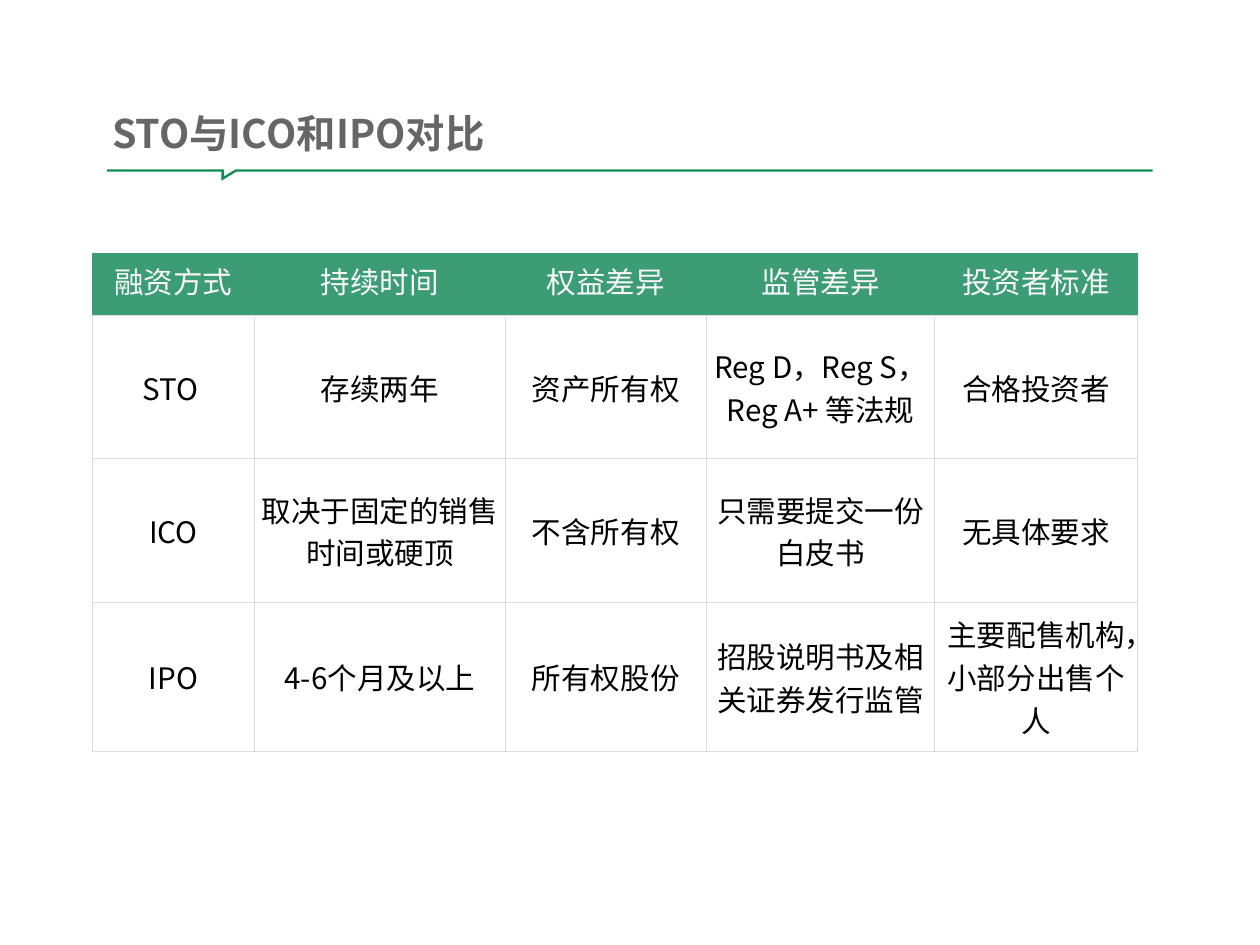
from lxml import etree
from pptx import Presentation
from pptx.dml.color import RGBColor
from pptx.enum.lang import MSO_LANGUAGE_ID as LANG
from pptx.enum.text import MSO_ANCHOR as ANCHOR, PP_ALIGN as ALIGN
from pptx.oxml.ns import qn
from pptx.util import Pt

FONT = "Noto Sans CJK SC"
TITLE = "STO与ICO和IPO对比"
ROWS = [
    ["融资方式", "持续时间", "权益差异", "监管差异", "投资者标准"],
    ["STO ", "存续两年", "资产所有权", "Reg D，Reg S，Reg A+ 等法规", "合格投资者"],
    ["ICO", "取决于固定的销售时间或硬顶", "不含所有权", "只需要提交一份白皮书", "无具体要求"],
    ["IPO", "4-6个月及以上", "所有权股份", "招股说明书及相关证券发行监管", "主要配售机构，小部分出售个人"],
]
COL_WIDTHS = [131.8, 203.8, 163.4, 185.8, 164.4]
ROW_HEIGHTS = [50.4, 116.6, 116.6, 121]
TABLE_LEFT, TABLE_TOP = 75, 206
RULE = [(87.1, 137.6), (182.2, 137.6), (182.2, 143.3), (191.5, 137.6), (936.7, 137.6),
        (936.7, 139.5), (192.2, 139.5), (180, 146.9), (180, 139.5), (87.1, 139.5)]
GREEN, RULE_GREEN, GRID = "3C9C74", "128D50", "DCDCDC"


def color(value):
    return RGBColor.from_string(value)


def set_margins(obj, size):
    obj.margin_left = obj.margin_right = obj.margin_top = obj.margin_bottom = Pt(size)


def style(p, size, value, bold=False):
    for r in p.runs:
        f = r.font
        f.name, f.size, f.bold = FONT, Pt(size), bold
        f.color.rgb = color(value)
        f.language_id = LANG.SIMPLIFIED_CHINESE
        etree.SubElement(f._element, qn("a:ea"), typeface=FONT)


def set_borders(cell, side, bottom):
    tc_pr = cell._tc.get_or_add_tcPr()
    for i, (tag, value) in enumerate(zip(("lnL", "lnR", "lnT", "lnB"), (side, side, side, bottom))):
        ln = etree.Element(qn("a:" + tag), w=str(Pt(1)))
        fill = etree.SubElement(ln, qn("a:solidFill"))
        etree.SubElement(fill, qn("a:srgbClr"), val=value)
        tc_pr.insert(i, ln)


def add_rule(slide):
    points = [(Pt(x), Pt(y)) for x, y in RULE]
    builder = slide.shapes.build_freeform(*points[0], scale=1.0)
    builder.add_line_segments(points[1:], close=True)
    sp = builder.convert_to_shape()
    sp.shadow.inherit = False
    sp.fill.solid()
    sp.fill.fore_color.rgb = color(RULE_GREEN)
    sp.line.fill.background()


def add_title(slide):
    tf = slide.shapes.add_textbox(Pt(87.1), Pt(84.2), Pt(866.9), Pt(46.8)).text_frame
    tf.word_wrap = True
    tf.vertical_anchor = ANCHOR.MIDDLE
    set_margins(tf, 4)
    tf.text = TITLE
    style(tf.paragraphs[0], 32, "666666", True)


def add_comparison(slide):
    table = slide.shapes.add_table(len(ROWS), len(COL_WIDTHS), Pt(TABLE_LEFT), Pt(TABLE_TOP),
                                   Pt(sum(COL_WIDTHS)), Pt(sum(ROW_HEIGHTS))).table
    table.horz_banding = False
    for col, width in zip(table.columns, COL_WIDTHS):
        col.width = Pt(width)
    for i, (row, height) in enumerate(zip(table.rows, ROW_HEIGHTS)):
        row.height = Pt(height)
        header = i == 0
        for cell, text in zip(row.cells, ROWS[i]):
            cell.text = text
            set_margins(cell, 5)
            cell.vertical_anchor = ANCHOR.TOP if header else ANCHOR.MIDDLE
            p = cell.text_frame.paragraphs[0]
            p.alignment = ALIGN.CENTER
            style(p, 24, "F8F8F8" if header else "000000")
            if header:
                cell.fill.solid()
                cell.fill.fore_color.rgb = color(GREEN)
            else:
                cell.fill.background()
            set_borders(cell, GREEN if header else GRID, GRID)


def main():
    prs = Presentation()
    prs.slide_width, prs.slide_height = Pt(1024), Pt(768)
    s = prs.slides.add_slide(prs.slide_layouts[6])
    add_rule(s)
    add_title(s)
    add_comparison(s)
    prs.save("out.pptx")


if __name__ == "__main__":
    main()
